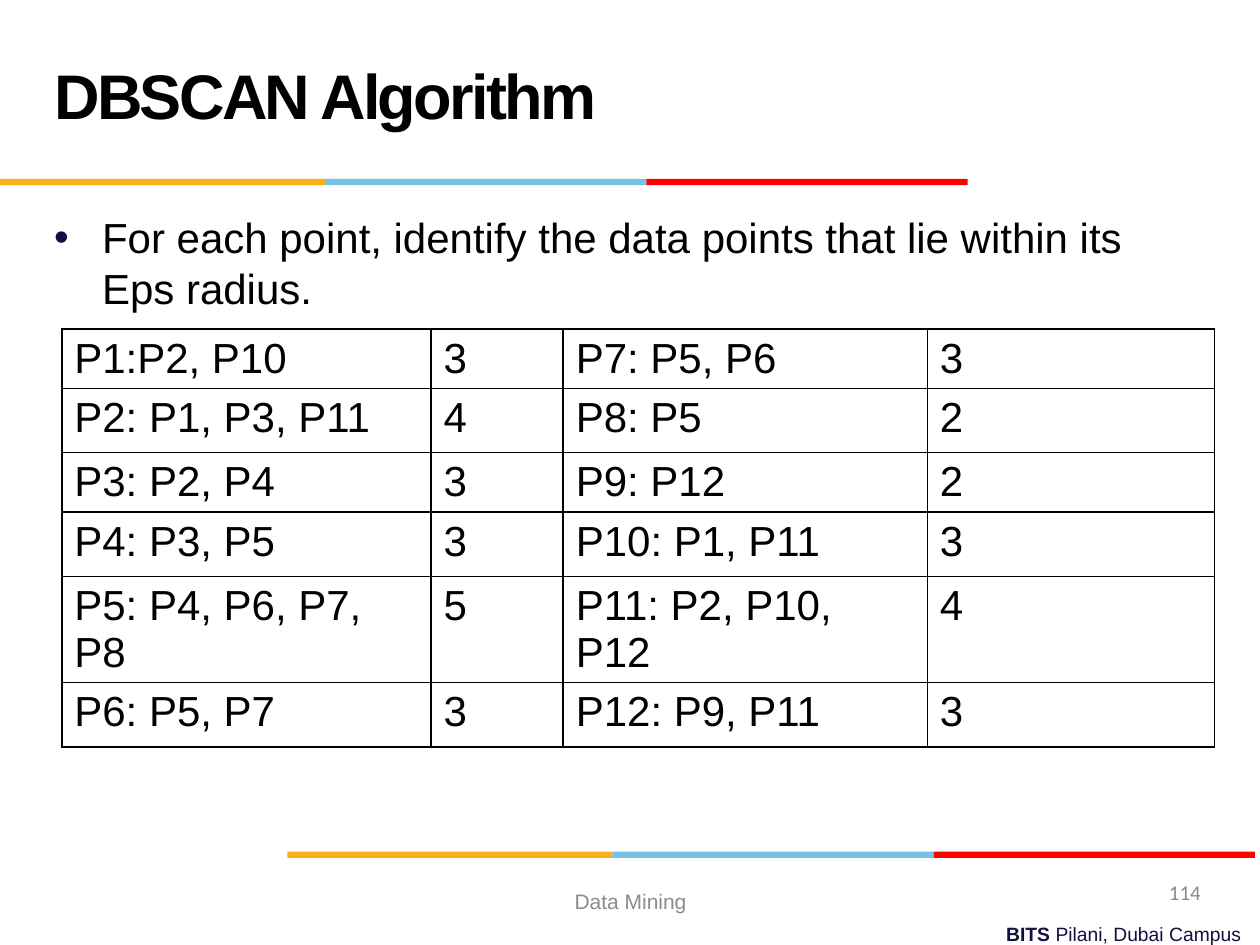
from dataclasses import dataclass

from lxml import etree
from pptx import Presentation
from pptx.dml.color import RGBColor
from pptx.enum import shapes, text
from pptx.oxml.ns import qn
from pptx.util import Inches, Pt

HUES = {"gold": "FCB017", "sky": "76C2E5", "red": "FF0000", "navy": "101141",
        "black": "000000", "gray": "8C8C8C", "ash": "898989"}
LEFT, MID, RIGHT = text.PP_ALIGN.LEFT, text.PP_ALIGN.CENTER, text.PP_ALIGN.RIGHT


@dataclass
class Box:
    x: float
    y: float
    w: float
    h: float

    def emu(self) -> tuple:
        return tuple(Inches(v) for v in (self.x, self.y, self.w, self.h))


@dataclass
class Band:
    hue: str
    w: float


BANDS = [Band("gold", 2.58), Band("sky", 2.55), Band("red", 2.55)]
COLS = [2.93, 1.05, 2.89, 2.28]
ROWS = [0.43, 0.51, 0.43, 0.51, 0.51, 0.51]
CELLS = [
    ("P1:P2, P10", "3", "P7: P5, P6", "3"),
    ("P2: P1, P3, P11", "4", "P8: P5", "2"),
    ("P3: P2, P4", "3", "P9: P12", "2"),
    ("P4: P3, P5", "3", "P10: P1, P11", "3"),
    ("P5: P4, P6, P7, P8", "5", "P11: P2, P10, P12", "4"),
    ("P6: P5, P7", "3", "P12: P9, P11", "3"),
]


def write(para, words: str, *, size: float = 24, hue: str = "black",
          face: str = "Arial", bold: bool = False, align=LEFT):
    para.alignment = align
    run = para.add_run()
    run.text = words
    font = run.font
    font.size, font.name, font.bold = Pt(size), face, bold
    font.color.rgb = RGBColor.from_string(HUES[hue])
    return run


def place(shape, box: Box, anchor):
    """Move a text shape, set its frame and return its first paragraph."""
    shape.left, shape.top, shape.width, shape.height = box.emu()
    frame = shape.text_frame
    frame.word_wrap = True
    frame.auto_size = text.MSO_AUTO_SIZE.NONE
    frame.vertical_anchor = anchor
    return frame.paragraphs[0]


def label(slide, box: Box, anchor=text.MSO_ANCHOR.MIDDLE):
    return place(slide.shapes.add_textbox(*box.emu()), box, anchor)


def stripe(slide, x: float, y: float) -> None:
    for band in BANDS:
        bar = slide.shapes.add_shape(shapes.MSO_SHAPE.RECTANGLE,
                                     *Box(x, y, band.w, 0.05).emu())
        bar.shadow.inherit = False
        bar.fill.solid()
        bar.fill.fore_color.rgb = RGBColor.from_string(HUES[band.hue])
        bar.line.fill.background()
        x += band.w


def bullet(para, hue: str) -> None:
    props = para._p.get_or_add_pPr()
    props.set("marL", str(Inches(0.38)))
    props.set("indent", str(Inches(-0.38)))
    tint = etree.SubElement(props, qn("a:buClr"))
    etree.SubElement(tint, qn("a:srgbClr"), val=HUES[hue])
    etree.SubElement(props, qn("a:buFont"), typeface="Arial")
    etree.SubElement(props, qn("a:buChar"), char="•")


def border(cell) -> None:
    props = cell._tc.get_or_add_tcPr()
    for i, side in enumerate(("lnL", "lnR", "lnT", "lnB")):
        line = etree.Element(qn(f"a:{side}"), w=str(Pt(1)))
        fill = etree.SubElement(line, qn("a:solidFill"))
        etree.SubElement(fill, qn("a:srgbClr"), val=HUES["black"])
        props.insert(i, line)


def grid(slide, x: float, y: float) -> None:
    box = Box(x, y, sum(COLS), sum(ROWS))
    table = slide.shapes.add_table(len(ROWS), len(COLS), *box.emu()).table
    table.first_row = table.horz_banding = False
    for col, w in zip(table.columns, COLS):
        col.width = Inches(w)
    for row, h, line in zip(table.rows, ROWS, CELLS):
        row.height = Inches(h)
        for cell, words in zip(row.cells, line):
            cell.fill.background()
            border(cell)
            write(cell.text_frame.paragraphs[0], words)


def main() -> None:
    deck = Presentation()
    deck.slide_width, deck.slide_height = Inches(10), Inches(7.5)
    slide = deck.slides.add_slide(deck.slide_layouts[1])

    brand = label(slide, Box(3.53, 7.27, 6.42, 0.29), text.MSO_ANCHOR.TOP)
    write(brand, "BITS ", size=11, hue="navy", bold=True, align=RIGHT)
    write(brand, "Pilani, Dubai Campus", size=11, hue="navy", align=RIGHT)
    stripe(slide, 2.28, 6.76)
    stripe(slide, 0, 1.42)

    head = place(slide.shapes.title, Box(0.33, 0.17, 6.92, 1.25),
                 text.MSO_ANCHOR.MIDDLE)
    head.line_spacing = Pt(36)
    run = write(head, "DBSCAN Algorithm", size=36, bold=True)
    run.font._element.set("spc", "-150")

    body = place(slide.placeholders[1], Box(0.33, 1.63, 9, 4.95),
                 text.MSO_ANCHOR.TOP)
    bullet(body, "navy")
    body.space_before = Pt(0)
    write(body, "For each point, identify the data points that lie within its "
                "Eps radius.")

    write(label(slide, Box(3.42, 6.95, 3.17, 0.4)), "Data Mining",
          size=12, hue="gray", align=MID)
    write(label(slide, Box(7.3, 6.88, 2.33, 0.4)), "114",
          size=12, hue="ash", face="Calibri", align=RIGHT)
    grid(slide, 0.49, 2.61)
    deck.save("out.pptx")


if __name__ == "__main__":
    main()
